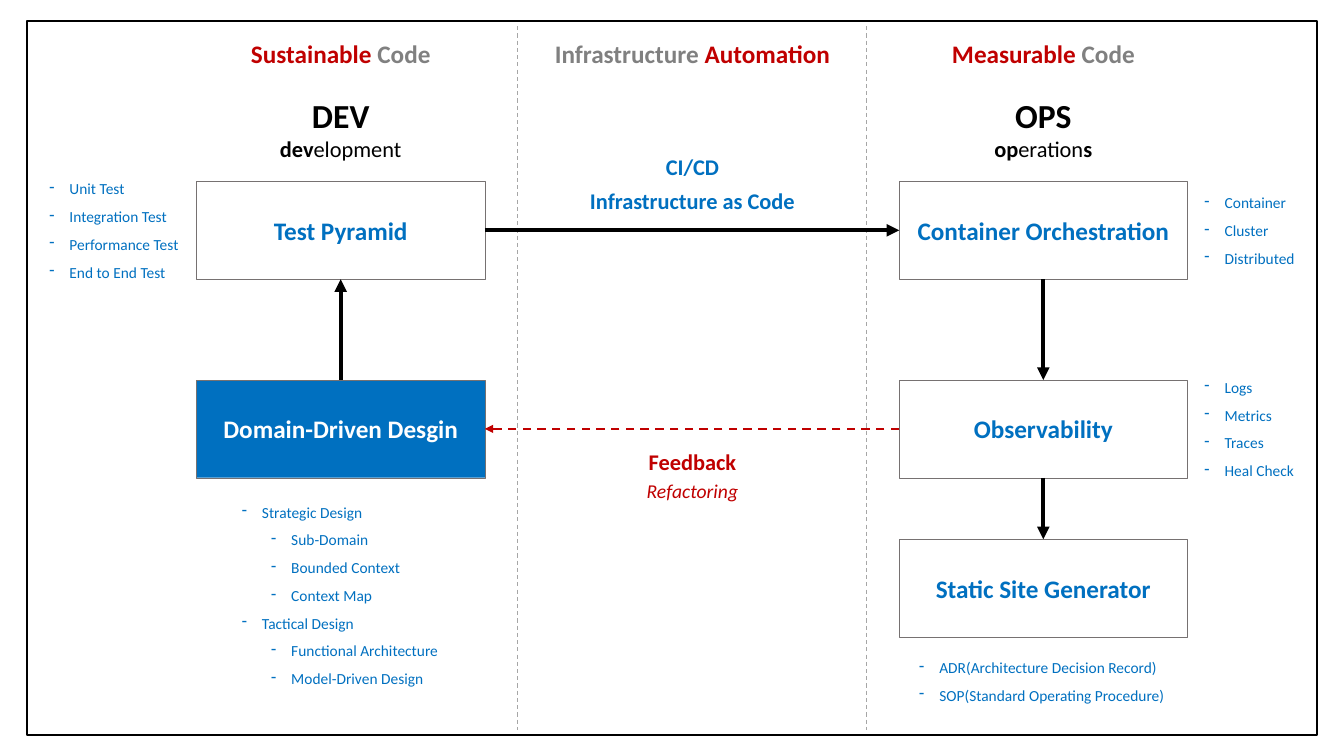
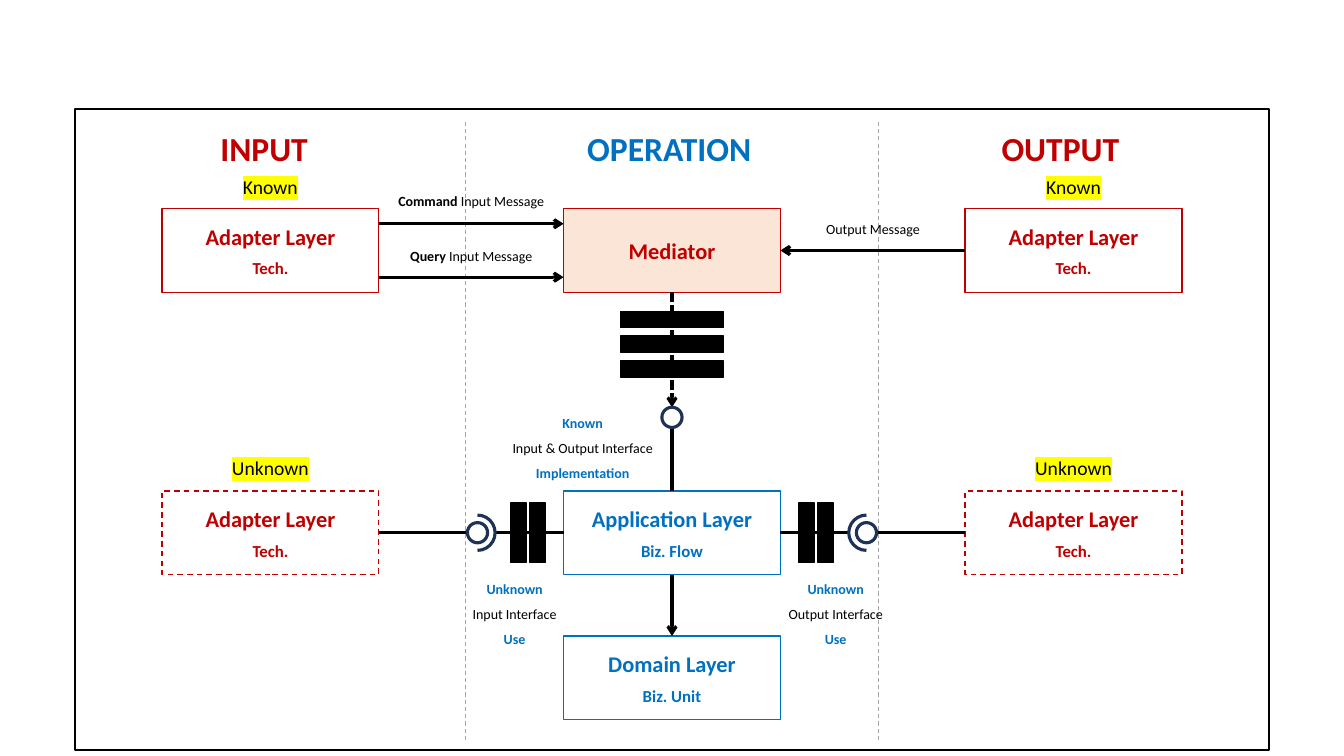
"""Build two architecture diagrams: the DevOps flow and the layered message flow."""
import lxml.etree
import pptx
import pptx.dml.color
import pptx.enum.dml
import pptx.enum.shapes
import pptx.enum.text
import pptx.oxml.ns
import pptx.util

FONT = "Calibri"
BLUE, RED, GRAY, BLACK, WHITE = "0070C0", "C00000", "808080", "000000", "FFFFFF"
EDGE, RULE, NAVY, PEACH, YELLOW = "767171", "A6A6A6", "1E3256", "FBE5D6", "FFFF00"
PLAIN, BOLD, ITALIC = {"bold": False}, {"bold": True}, {"italic": True}
CENTER, LEFT = pptx.enum.text.PP_ALIGN.CENTER, pptx.enum.text.PP_ALIGN.LEFT
DASH, SHORT = pptx.enum.dml.MSO_LINE.DASH, pptx.enum.dml.MSO_LINE.SQUARE_DOT
SHAPE = pptx.enum.shapes.MSO_SHAPE
RECT, OVAL, ARC = SHAPE.RECTANGLE, SHAPE.OVAL, SHAPE.ARC
TOP, WEST, BOTTOM, EAST = range(4)
rgb = pptx.dml.color.RGBColor.from_string
qn = pptx.oxml.ns.qn

prs = pptx.Presentation()
prs.slide_width, prs.slide_height = pptx.util.Inches(13.33), pptx.util.Inches(7.5)
COL, ROW = prs.slide_width / 100, prs.slide_height / 100


def box(s, kind, cx, y, w, h, paras=(), fill=None, line=None, pt=1, dash=None, mark=None):
    """Add a shape, or a text box if kind is None, centred on column cx, in percent of the slide."""
    at = [int(v) for v in ((cx - w / 2) * COL, y * ROW, w * COL, h * ROW)]
    if kind is None:
        sp = s.shapes.add_textbox(*at)
    else:
        sp = s.shapes.add_shape(kind, *at)
        sp.shadow.inherit = False
        if fill:
            sp.fill.solid()
            sp.fill.fore_color.rgb = rgb(fill)
        else:
            sp.fill.background()
        sp.line.color.rgb = rgb(line)
        sp.line.width = pptx.util.Pt(pt)
        if dash:
            sp.line.dash_style = dash
    tf = sp.text_frame
    tf.word_wrap = kind is not None
    tf.vertical_anchor = pptx.enum.text.MSO_ANCHOR.MIDDLE
    for i, (layout, runs) in enumerate(paras):
        p = tf.paragraphs[0] if i == 0 else tf.add_paragraph()
        for key, value in {"alignment": CENTER, **layout}.items():
            setattr(p, key, value)
        if "level" in layout:
            pPr = p._p.get_or_add_pPr()
            pPr.set("marL", str(pptx.util.Inches(0.49 if p.level else 0.2)))
            pPr.set("indent", str(pptx.util.Inches(-0.2)))
            lxml.etree.SubElement(pPr, qn("a:buChar")).set("char", "-")
        for text, size, color, style in runs:
            r = p.add_run()
            r.text = text
            r.font.color.rgb = rgb(color)
            if mark:
                hl = lxml.etree.SubElement(r._r.get_or_add_rPr(), qn("a:highlight"))
                lxml.etree.SubElement(hl, qn("a:srgbClr")).set("val", mark)
            for key, value in {"name": FONT, "size": pptx.util.Pt(size), **style}.items():
                setattr(r.font, key, value)
    return sp


def link(s, a, b, color=BLACK, pt=2.25, dash=None, tail=None):
    """Draw a straight connector; each end is (column, row) or (shape, side)."""
    joined = [hasattr(end[0], "shape_id") for end in (a, b)]
    xy = []
    for end, join in zip((a, b), joined):
        xy += [0, 0] if join else [int(end[0] * COL), int(end[1] * ROW)]
    cn = s.shapes.add_connector(pptx.enum.shapes.MSO_CONNECTOR.STRAIGHT, *xy)
    if joined[0]:
        cn.begin_connect(*a)
    if joined[1]:
        cn.end_connect(*b)
    cn.line.color.rgb = rgb(color)
    cn.line.width = pptx.util.Pt(pt)
    if dash:
        cn.line.dash_style = dash
    spPr = cn._element.spPr
    if tail:
        lxml.etree.SubElement(spPr.find(qn("a:ln")), qn("a:tailEnd")).set("type", tail)
    lxml.etree.SubElement(spPr, qn("a:effectLst"))


s = prs.slides.add_slide(prs.slide_layouts[6])
DEV, AUTO, OPS = 25.35, 51.52, 77.63
box(s, RECT, 50, 2.8, 95.93, 94.4, line=BLACK, pt=1.5)
for x in (38.48, 64.5):
    link(s, (x, 3.47), (x, 96.53), RULE, 0.75, DASH)

cards = {}
for name, cx, y, fill, color in (
    ("Test Pyramid", DEV, 24, WHITE, BLUE),
    ("Domain-Driven Desgin", DEV, 50.27, BLUE, WHITE),
    ("Container Orchestration", OPS, 24, WHITE, BLUE),
    ("Observability", OPS, 50.27, WHITE, BLUE),
    ("Static Site Generator", OPS, 71.33, WHITE, BLUE),
):
    cards[name] = box(s, RECT, cx, y, 21.45, 12.93, [({}, [(name, 18, color, BOLD)])],
                      fill, EDGE, 0.25)
pyramid, domain, container, observe, site = cards.values()

link(s, (observe, WEST), (domain, EAST), RED, 1.5, DASH, "triangle")
for a, b in (
    ((pyramid, EAST), (container, WEST)),
    ((domain, TOP), (pyramid, BOTTOM)),
    ((container, BOTTOM), (observe, TOP)),
    ((observe, BOTTOM), (site, TOP)),
):
    link(s, a, b, pt=3, tail="triangle")

for cx, y, w, h, lines in (
    (DEV, 4.4, 14.93, 5.33, [[("Sustainable", 18, RED, BOLD), (" Code", 18, GRAY, BOLD)]]),
    (AUTO, 4.4, 22.13, 5.33,
     [[("Infrastructure ", 18, GRAY, BOLD), ("Automation", 18, RED, BOLD)]]),
    (OPS, 4.4, 15.23, 5.33, [[("Measurable", 18, RED, BOLD), (" Code", 18, GRAY, BOLD)]]),
    (DEV, 11.87, 10.65, 10.27,
     [[("DEV", 24, BLACK, BOLD)], [("dev", 16, BLACK, BOLD), ("elopment", 16, BLACK, PLAIN)]]),
    (OPS, 11.87, 8.93, 10.27,
     [[("OPS", 24, BLACK, BOLD)],
      [("op", 16, BLACK, BOLD), ("eration", 16, BLACK, PLAIN), ("s", 16, BLACK, BOLD)]]),
    (AUTO, 19.6, 5.55, 4.93, [[("CI/CD", 16, BLUE, BOLD)]]),
    (AUTO, 24, 16.95, 4.93, [[("Infrastructure as Code", 16, BLUE, BOLD)]]),
    (AUTO, 58.53, 8.1, 4.93, [[("Feedback", 16, RED, BOLD)]]),
    (AUTO, 62.67, 8.33, 4.53, [[("Refactoring", 14, RED, ITALIC)]]),
):
    box(s, None, cx, y, w, h, [({}, runs) for runs in lines])

for x, y, w, h, first, items in (
    (17.25, 64.67, 16.2, 26.93, 1.5,
     [(0, "Strategic Design"), (1, "Sub-Domain"), (1, "Bounded Context"), (1, "Context Map"),
      (0, "Tactical Design"), (1, "Functional Architecture"), (1, "Model-Driven Design")]),
    (2.93, 22, 11.33, 15.73, 1.5,
     [(0, "Unit Test"), (0, "Integration Test"), (0, "Performance Test"),
      (0, "End to End Test")]),
    (88.88, 25.07, 8.25, 10.8, 1.0, [(0, "Container"), (0, "Cluster"), (0, "Distributed")]),
    (88.88, 49.47, 8.18, 14.53, 1.0,
     [(0, "Logs"), (0, "Metrics"), (0, "Traces"), (0, "Heal Check")]),
    (67.65, 85.33, 19.88, 8.4, 1.5,
     [(0, "ADR(Architecture Decision Record)"), (0, "SOP(Standard Operating Procedure)")]),
):
    box(s, None, x + w / 2, y, w, h,
        [({"alignment": LEFT, "level": level, "line_spacing": 1.5 if i else first},
          [(text, 11, BLUE, PLAIN)]) for i, (level, text) in enumerate(items)])

s = prs.slides.add_slide(prs.slide_layouts[6])
MID, SIDE = 50, 29.88
INPUT, OUTPUT = MID - SIDE, MID + SIDE
CARD_W, CARD_H = 16.13, 11.07
KNOWN, UNKNOWN, DOMAIN = 27.6, 64.93, 84.13
AXIS = UNKNOWN + CARD_H / 2
BALL_W, BALL_H = 1.5, 2.67
box(s, RECT, MID, 14.4, 88.88, 84.8, line=BLACK, pt=1.5)
for x in (34.65, 65.33):
    link(s, (x, 16.13), (x, 98.13), RULE, 0.75, DASH)

layers = []
for cx, y, name, note, color, fill, dash in (
    (INPUT, KNOWN, "Adapter Layer", "Tech.", RED, None, None),
    (OUTPUT, KNOWN, "Adapter Layer", "Tech.", RED, None, None),
    (INPUT, UNKNOWN, "Adapter Layer", "Tech.", RED, WHITE, DASH),
    (OUTPUT, UNKNOWN, "Adapter Layer", "Tech.", RED, WHITE, DASH),
    (MID, KNOWN, "Mediator", None, RED, PEACH, None),
    (MID, UNKNOWN, "Application Layer", "Biz. Flow", BLUE, WHITE, None),
    (MID, DOMAIN, "Domain Layer", "Biz. Unit", BLUE, WHITE, None),
):
    paras = [({}, [(name, 16, color, BOLD)])]
    if note:
        paras.append(({"space_before": pptx.util.Pt(6)}, [(note, 12, color, BOLD)]))
    layers.append(box(s, RECT, cx, y, CARD_W, CARD_H, paras, fill, color, dash=dash))
_, known_out, unknown_in, unknown_out, mediator, app, core = layers

for y in (29.6, 36.67):
    link(s, (INPUT + CARD_W / 2, y), (MID - CARD_W / 2, y), tail="arrow")
link(s, (known_out, WEST), (mediator, EAST), tail="arrow")
link(s, (app, BOTTOM), (core, TOP), tail="arrow")

BALL_Y = 53.87
link(s, (mediator, BOTTOM), (MID, BALL_Y), dash=SHORT, tail="arrow")
link(s, (app, TOP), (MID, BALL_Y + BALL_H))
box(s, OVAL, MID, BALL_Y, BALL_W, BALL_H, fill=WHITE, line=NAVY, pt=2.25)
for i in range(3):
    box(s, RECT, MID, 41.2 + 3.27 * i, 7.65, 2.13, fill=BLACK, line=BLACK)

for sign, adapter, near, far, angles in (
    (-1, unknown_in, EAST, WEST, (162, 54)),
    (1, unknown_out, WEST, EAST, (54, 162)),
):
    hub = MID + sign * 14.47
    link(s, (adapter, near), (hub + sign * BALL_W / 2, AXIS))
    link(s, (hub - sign * 1.31, AXIS), (app, far))
    socket = box(s, ARC, hub, AXIS - 2.33, 2.63, 4.67, line=NAVY, pt=2.25)
    socket.adjustments[0], socket.adjustments[1] = angles
    box(s, OVAL, hub, AXIS - BALL_H / 2, BALL_W, BALL_H, line=NAVY, pt=2.25)
    for gap in (10, 11.43):
        box(s, RECT, MID + sign * gap, AXIS - 3.93, 1.2, 7.87, fill=BLACK, line=BLACK)

for cx, w, text, color in (
    (19.65, 8.1, "INPUT", RED),
    (49.8, 13.8, "OPERATION", BLUE),
    (78.9, 10.35, "OUTPUT", RED),
):
    box(s, None, cx, 16.27, w, 6.67, [({}, [(text, 24, color, BOLD)])])

for cx in (INPUT, OUTPUT):
    for y, w, text in ((22.4, 5.63, "Known"), (59.6, 7.28, "Unknown")):
        box(s, None, cx, y, w, 4.53, [({}, [(text, 14, BLACK, PLAIN)])], mark=YELLOW)

for cx, y, w, runs in (
    (35.06, 24.8, 12.53, [("Command", BOLD), (" Input Message", PLAIN)]),
    (35.06, 32, 10.73, [("Query ", BOLD), ("Input Message", PLAIN)]),
    (64.95, 28.53, 8.55, [("Output Message", PLAIN)]),
):
    box(s, None, cx, y, w, 3.6, [({}, [(text, 10, BLACK, style) for text, style in runs])])

for cx, y, w, lines in (
    (43.35, 52.93, 12.15, ("Known", "Input & Output Interface", "Implementation")),
    (38.29, 74.93, 7.88, ("Unknown", "Input Interface", "Use")),
    (62.18, 74.93, 8.7, ("Unknown", "Output Interface", "Use")),
):
    looks = ((BLUE, BOLD), (BLACK, PLAIN), (BLUE, BOLD))
    box(s, None, cx, y, w, 11.47,
        [({"line_spacing": 1.5}, [(text, 10, *look)]) for text, look in zip(lines, looks)])

prs.save("out.pptx")
